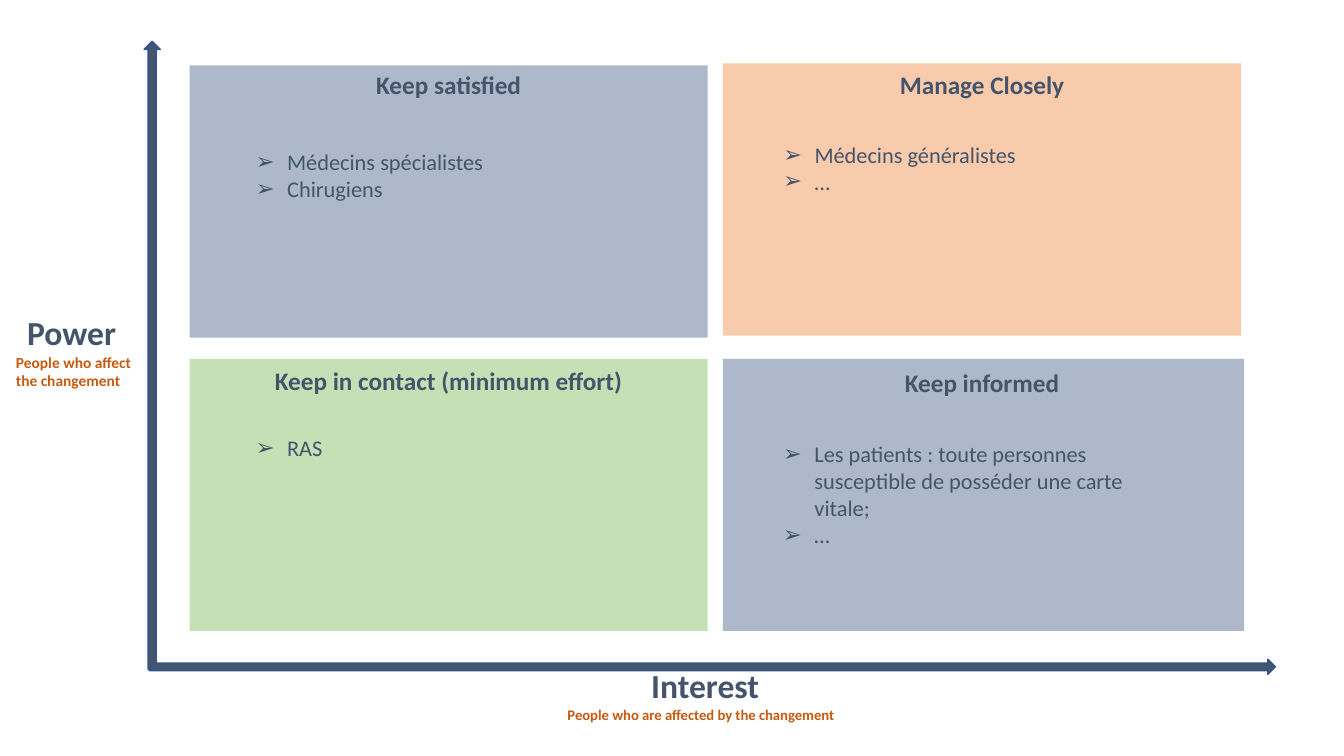
from lxml import etree
from pptx import Presentation
from pptx.dml.color import RGBColor
from pptx.enum import shapes, text
from pptx.oxml.ns import qn
from pptx.util import Inches, Pt

theme = {
    "font": "Calibri",
    "ink": "44546A", "axis_edge": "325491", "accent": "C55A11",
    "blue": "ADB9CA", "orange": "F8CBAD", "green": "C5E0B4",
    "axis_size": 24, "title_size": 18, "item_size": 16,
    "side_note": 11, "bottom_note": 10.5,
}

deck = Presentation()
deck.slide_width, deck.slide_height = Inches(13.33), Inches(7.5)
page = deck.slides.add_slide(deck.slide_layouts[6])


def add_block(kind, place, fill, edge=None):
    block = page.shapes.add_shape(kind, *map(Inches, place))
    block.shadow.inherit = False
    block.fill.solid()
    block.fill.fore_color.rgb = RGBColor.from_string(theme[fill])
    if edge:
        block.line.color.rgb = RGBColor.from_string(theme[edge])
        block.line.width = Pt(1)
    else:
        block.line.fill.background()


def add_text(place, lines, size, color="ink", bold=True, centred=False, bullet=None):
    box = page.shapes.add_textbox(*map(Inches, place))
    frame = box.text_frame
    frame.word_wrap = True
    frame.text = "\n".join(lines)
    for para in frame.paragraphs:
        if centred:
            para.alignment = text.PP_ALIGN.CENTER
        if bullet:
            props = para._p.get_or_add_pPr()
            props.set("marL", str(Inches(0.31)))
            props.set("indent", str(-Inches(0.31)))
            etree.SubElement(props, qn("a:buFont"), typeface="Arial")
            etree.SubElement(props, qn("a:buChar"), char=bullet)
        for span in para.runs:
            span.font.name = theme["font"]
            span.font.size = Pt(theme[size])
            span.font.bold = bold
            span.font.color.rgb = RGBColor.from_string(theme[color])
    return frame


# Axes
preset = shapes.MSO_SHAPE
add_block(preset.RIGHT_ARROW, (1.48, 6.54, 11.17, 0.15), "ink", "axis_edge")
add_block(preset.UP_ARROW, (1.43, 0.41, 0.16, 6.23), "ink", "axis_edge")

# Axis names and notes; the side note stays clear of the vertical axis
add_text((0.17, 3.05, 1.36, 0.5), ["Power"], "axis_size")
add_text((0.06, 3.45, 1.4, 0.47), ["People who affect the changement"], "side_note", "accent")
add_text((6.36, 6.55, 1.34, 0.5), ["Interest"], "axis_size")
interest_note = add_text((5.53, 6.86, 3.02, 0.37),
                         ["People who are affected by the changement"], "bottom_note", "accent")
interest_note.vertical_anchor = text.MSO_ANCHOR.BOTTOM

# Quadrants: block place, fill, title top, title, list place, stakeholders
quadrants = [
    ((1.88, 0.65, 5.14, 2.7), "blue", 0.64, "Keep satisfied",
     (2.44, 1.42, 3.74, 0.64), ["Médecins spécialistes", "Chirugiens"]),
    ((7.17, 0.63, 5.14, 2.7), "orange", 0.64, "Manage Closely",
     (7.67, 1.35, 3.78, 0.91), ["Médecins généralistes", "…"]),
    ((1.88, 3.56, 5.14, 2.7), "green", 3.58, "Keep in contact (minimum effort)",
     (2.44, 4.26, 3.57, 0.67), ["RAS"]),
    ((7.17, 3.56, 5.17, 2.7), "blue", 3.59, "Keep informed",
     (7.67, 4.32, 4.1, 1.18),
     ["Les patients : toute personnes susceptible de posséder une carte vitale;", "…"]),
]
for place, fill, title_top, title, list_place, stakeholders in quadrants:
    add_block(preset.RECTANGLE, place, fill)
    add_text((place[0], title_top, 5.14, 0.4), [title], "title_size", centred=True)
    add_text(list_place, stakeholders, "item_size", bold=False, bullet="➢")

deck.save("out.pptx")
